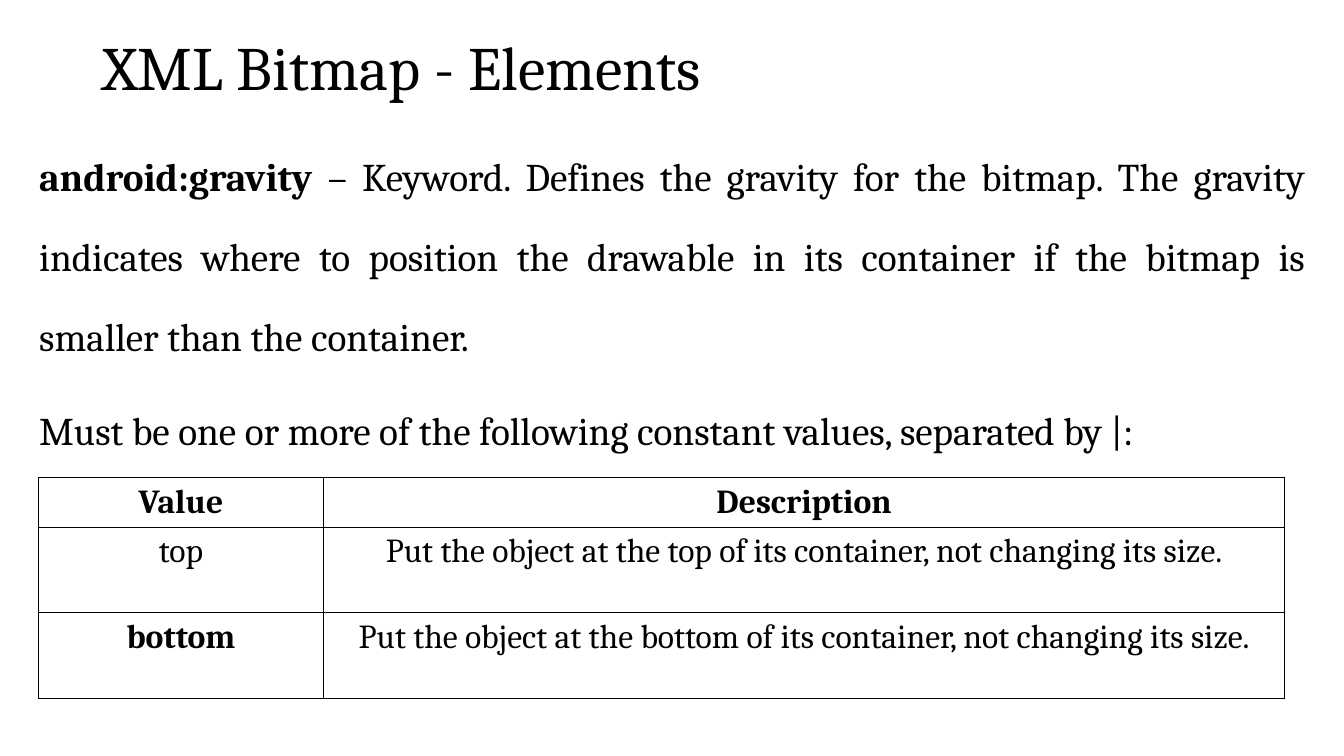
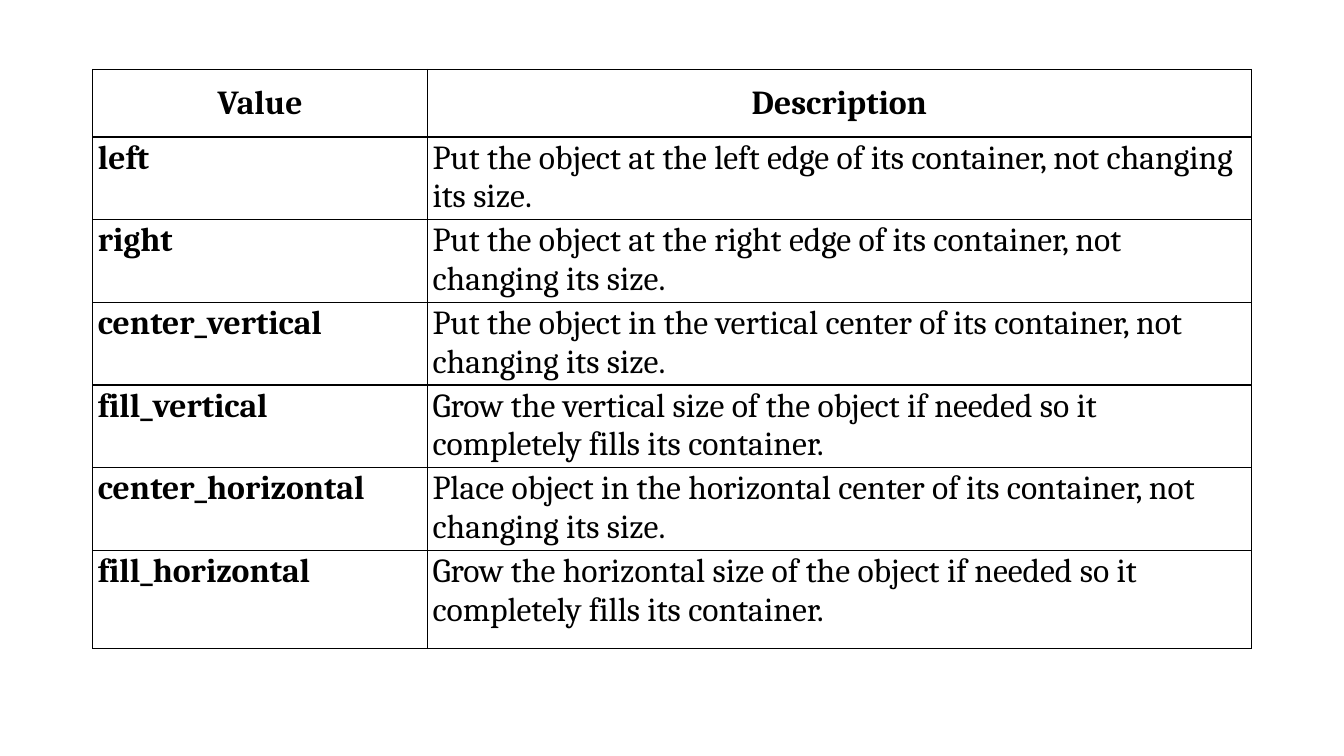
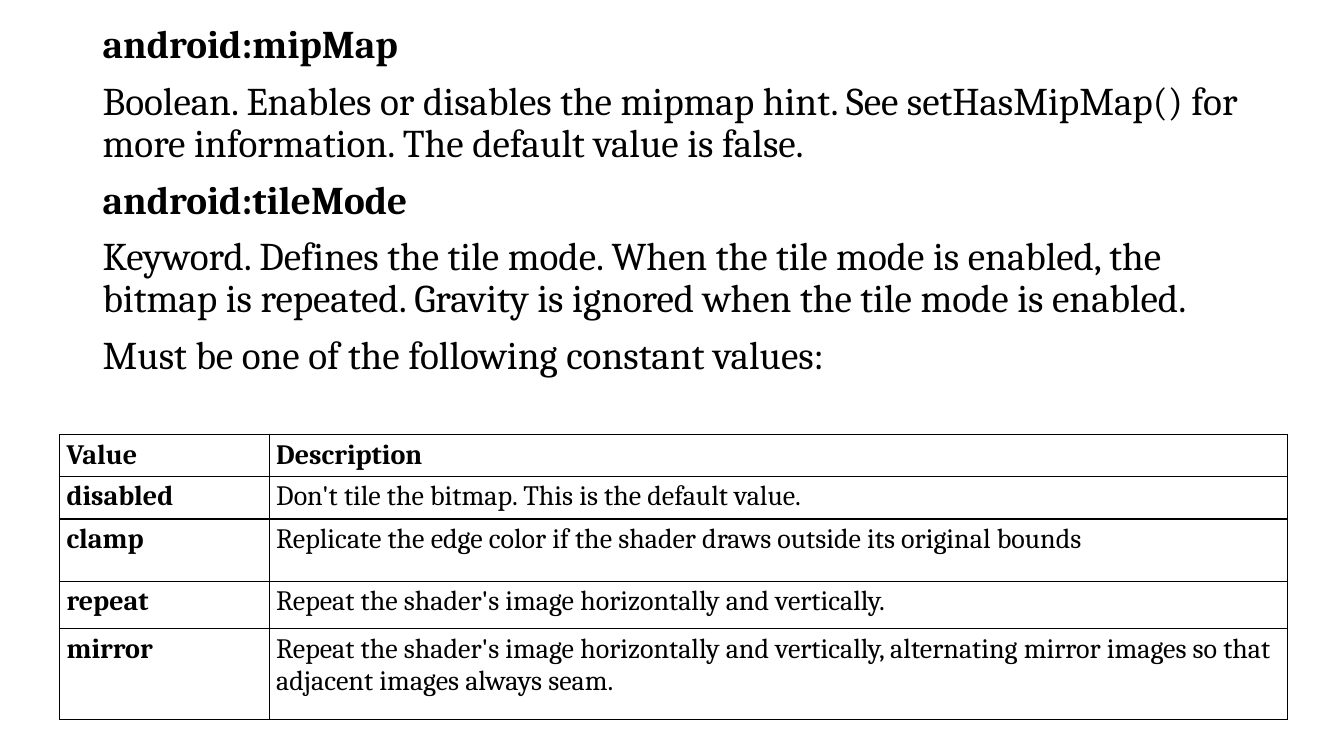
from lxml import etree
from pptx import Presentation
from pptx.dml.color import RGBColor
from pptx.enum import text as t
from pptx.oxml.ns import qn
from pptx.util import Inches, Pt

COLORS = {"ink": "000000", "paper": "FFFFFF"}
FONT = "Cambria"
TITLE_SIZE, BODY_SIZE = 44, 28
LEFT, CENTER, JUSTIFY = t.PP_ALIGN.LEFT, t.PP_ALIGN.CENTER, t.PP_ALIGN.JUSTIFY
TOP, MIDDLE = t.MSO_ANCHOR.TOP, t.MSO_ANCHOR.MIDDLE
HEADER = ("Value", "Description")
# Cell insets: sides, top, bottom
HEADER_INSET = (0.1, 0.04, 0.04)
WIDE_INSET = (0.1, 0.05, 0.05)
MEDIUM_INSET = (0.07, 0.04, 0.04)
TIGHT_INSET = (0.05, 0.02, 0)


def rgb(name):
    return RGBColor.from_string(COLORS[name])


def format_run(r, size, bold):
    r.font.name, r.font.size, r.font.bold = FONT, Pt(size), bold
    r.font.color.rgb = rgb("ink")


def add_text(s, box, paragraphs, size, align=LEFT, spacing=0.9, before=0, anchor=TOP):
    """Each paragraph is a list of (text, bold) runs."""
    tf = s.shapes.add_textbox(*map(Inches, box)).text_frame
    tf.word_wrap = True
    tf.vertical_anchor = anchor
    for i, runs in enumerate(paragraphs):
        p = tf.add_paragraph() if i else tf.paragraphs[0]
        p.alignment, p.line_spacing, p.space_before = align, spacing, Pt(before)
        for text, bold in runs:
            r = p.add_run()
            r.text = text
            format_run(r, size, bold)


def add_title(s, title):
    add_text(s, (0.92, 0.1, 11.5, 1.2), [[(title, False)]], TITLE_SIZE, anchor=MIDDLE)


def add_body(s, box, paragraphs, **style):
    add_text(s, box, paragraphs, BODY_SIZE, before=10, **style)


def add_borders(cell):
    tc_pr = cell._tc.get_or_add_tcPr()
    for side in ("a:lnL", "a:lnR", "a:lnT", "a:lnB"):
        ln = etree.SubElement(tc_pr, qn(side), w=str(Pt(1)))
        fill = etree.SubElement(ln, qn("a:solidFill"))
        etree.SubElement(fill, qn("a:srgbClr"), val=COLORS["ink"])


def format_cell(cell, text, size, bold, align, anchor, inset):
    add_borders(cell)
    cell.fill.solid()
    cell.fill.fore_color.rgb = rgb("paper")
    cell.vertical_anchor = anchor
    side, top, bottom = map(Inches, inset)
    cell.margin_left = cell.margin_right = side
    cell.margin_top, cell.margin_bottom = top, bottom
    cell.text_frame.text = text
    p = cell.text_frame.paragraphs[0]
    p.alignment = align
    format_run(p.runs[0], size, bold)


def add_value_table(s, at, widths, heights, rows, size=24, header_align=CENTER,
                    align=LEFT, header_inset=HEADER_INSET, inset=WIDE_INSET, plain=()):
    """Values are bold, except those listed in plain."""
    box = (*at, sum(widths), sum(heights))
    table = s.shapes.add_table(len(heights), len(widths), *map(Inches, box)).table
    for column, width in zip(table.columns, widths):
        column.width = Inches(width)
    for row, height in zip(table.rows, heights):
        row.height = Inches(height)
    for j, text in enumerate(HEADER):
        format_cell(table.cell(0, j), text, size, True, header_align, MIDDLE, header_inset)
    for i, texts in enumerate(rows, 1):
        for j, text in enumerate(texts):
            bold = j == 0 and text not in plain
            format_cell(table.cell(i, j), text, size, bold, align, TOP, inset)


def gravity_slide(s):
    add_title(s, "XML Bitmap - Elements")
    add_body(s, (0.29, 1.13, 12.75, 6.15), [
        [("android:gravity ", True),
         ("– Keyword. Defines the gravity for the bitmap. The gravity indicates where to "
          "position the drawable in its container if the bitmap is smaller than the "
          "container.", False)],
        [("Must be one or more of the following constant values, separated by |:", False)],
    ], align=JUSTIFY, spacing=1.7)
    add_value_table(s, (0.38, 4.74), (2.83, 9.53), (0.49, 0.85, 0.85), [
        ("top", "Put the object at the top of its container, not changing its size."),
        ("bottom", "Put the object at the bottom of its container, not changing its size."),
    ], align=CENTER, plain=("top",))


def gravity_values_slide(s):
    add_value_table(s, (0.92, 0.69), (3.32, 8.17), (0.67, *[0.82] * 5, 0.97), [
        ("left", "Put the object at the left edge of its container, not changing its size."),
        ("right", "Put the object at the right edge of its container, not changing its size."),
        ("center_vertical",
         "Put the object in the vertical center of its container, not changing its size."),
        ("fill_vertical",
         "Grow the vertical size of the object if needed so it completely fills its container."),
        ("center_horizontal",
         "Place object in the horizontal center of its container, not changing its size."),
        ("fill_horizontal",
         "Grow the horizontal size of the object if needed so it completely fills its container."),
    ], inset=TIGHT_INSET)


def tile_mode_slide(s):
    add_body(s, (0.92, 0.2, 11.5, 7.13), [
        [("android:mipMap", True)],
        [("Boolean. Enables or disables the mipmap hint. See setHasMipMap() for more "
          "information. The default value is false.", False)],
        [("android:tileMode", True)],
        [("Keyword. Defines the tile mode. When the tile mode is enabled, the bitmap is "
          "repeated. Gravity is ignored when the tile mode is enabled.", False)],
        [("Must be one of the following constant values:", False)],
    ])
    add_value_table(s, (0.59, 4.31), (2.08, 10.1), (0.42, 0.42, 0.62, 0.47, 0.9), [
        ("disabled", "Don't tile the bitmap. This is the default value."),
        ("clamp", "Replicate the edge color if the shader draws outside its original bounds"),
        ("repeat", "Repeat the shader's image horizontally and vertically."),
        ("mirror", "Repeat the shader's image horizontally and vertically, alternating mirror "
                   "images so that adjacent images always seam."),
    ], size=20, header_align=LEFT, header_inset=MEDIUM_INSET, inset=MEDIUM_INSET)


def main():
    prs = Presentation()
    prs.slide_width, prs.slide_height = Inches(13.33), Inches(7.5)
    for build in (gravity_slide, gravity_values_slide, tile_mode_slide):
        s = prs.slides.add_slide(prs.slide_layouts[6])
        s.background.fill.solid()
        s.background.fill.fore_color.rgb = rgb("paper")
        build(s)
    prs.save("out.pptx")


if __name__ == "__main__":
    main()
